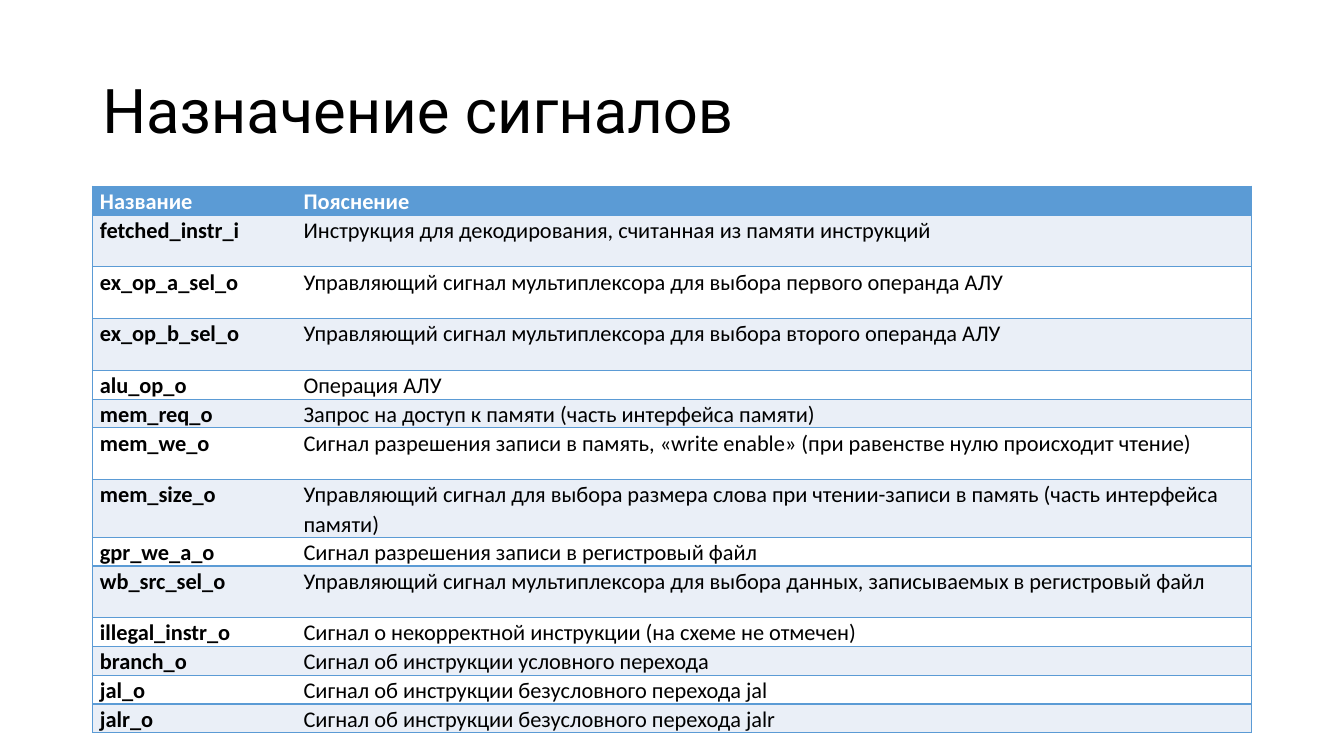
import pptx
import pptx.util
import pptx.dml.color
import pptx.enum.text
import pptx.oxml.ns
from lxml import etree

Pt = pptx.util.Pt
qn = pptx.oxml.ns.qn

COLORS = {"accent": "5B9BD5", "band": "EAEFF7", "plain": "FFFFFF", "text": "000000"}
NO_GRID_STYLE = "{2D5ABB26-0587-4C30-8999-92F81FD0307C}"
LOW, HIGH, WRAPPED = 19.5, 37, 37.5

# Signal name, explanation, least row height
SIGNALS = [
    ("fetched_instr_i", "Инструкция для декодирования, считанная из памяти инструкций", HIGH),
    ("ex_op_a_sel_o", "Управляющий сигнал мультиплексора для выбора первого операнда АЛУ", HIGH),
    ("ex_op_b_sel_o", "Управляющий сигнал мультиплексора для выбора второго операнда АЛУ", HIGH),
    ("alu_op_o", "Операция АЛУ", LOW),
    ("mem_req_o", "Запрос на доступ к памяти (часть интерфейса памяти)", LOW),
    ("mem_we_o", "Сигнал разрешения записи в память, «write enable» "
                 "(при равенстве нулю происходит чтение)", HIGH),
    ("mem_size_o", "Управляющий сигнал для выбора размера слова при чтении-записи в память "
                   "(часть интерфейса памяти)", WRAPPED),
    ("gpr_we_a_o", "Сигнал разрешения записи в регистровый файл", LOW),
    ("wb_src_sel_o", "Управляющий сигнал мультиплексора для выбора данных, "
                     "записываемых в регистровый файл", HIGH),
    ("illegal_instr_o", "Сигнал о некорректной инструкции (на схеме не отмечен)", LOW),
    ("branch_o", "Сигнал об инструкции условного перехода", LOW),
    ("jal_o", "Сигнал об инструкции безусловного перехода jal", LOW),
    ("jalr_o", "Сигнал об инструкции безусловного перехода jalr", LOW),
]


def rgb(name):
    return pptx.dml.color.RGBColor.from_string(COLORS[name])


def write(frame, text, *, font, size, color="text", bold=False, spacing=1.0, after=0):
    paragraph = frame.paragraphs[0]
    paragraph.line_spacing = spacing
    paragraph.space_after = Pt(after)
    run = paragraph.add_run()
    run.text = text
    run.font.name = font
    run.font.size = Pt(size)
    run.font.bold = bold
    run.font.color.rgb = rgb(color)


class SignalSlide:
    heading_font = "Roboto"
    body_font = "Calibri"

    def __init__(self, presentation):
        self.slide = presentation.slides.add_slide(presentation.slide_layouts[6])

    def title(self, text, left, top, width, height):
        heading = self.slide.shapes.add_textbox(Pt(left), Pt(top), Pt(width), Pt(height))
        frame = heading.text_frame
        frame.word_wrap = True
        frame.vertical_anchor = pptx.enum.text.MSO_ANCHOR.MIDDLE
        write(frame, text, font=self.heading_font, size=44, spacing=0.9)

    def borders(self, cell, sides):
        properties = cell._tc.get_or_add_tcPr()
        for side in sides:
            line = etree.SubElement(properties, qn(f"a:ln{side}"), w=str(Pt(1)))
            fill = etree.SubElement(line, qn("a:solidFill"))
            etree.SubElement(fill, qn("a:srgbClr"), val=COLORS["accent"])

    def cell(self, cell, text, fill, sides, **text_format):
        cell.margin_left = cell.margin_right = Pt(5.4)
        cell.margin_top = cell.margin_bottom = 0
        self.borders(cell, sides)
        cell.fill.solid()
        cell.fill.fore_color.rgb = rgb(fill)
        write(cell.text_frame, text, font=self.body_font, size=16,
              spacing=1.07, after=8, **text_format)

    def table(self, rows, left, top, widths):
        total_height = sum(height for _, _, height in rows)
        signals = self.slide.shapes.add_table(
            len(rows), len(widths), Pt(left), Pt(top), Pt(sum(widths)), Pt(total_height)).table
        signals._tbl.tblPr.find(qn("a:tableStyleId")).text = NO_GRID_STYLE
        for column, width in zip(signals.columns, widths):
            column.width = Pt(width)
        for index, (name, meaning, height) in enumerate(rows):
            header = index == 0
            signals.rows[index].height = Pt(height)
            fill = "accent" if header else ("plain", "band")[index % 2]
            color = "plain" if header else "text"
            self.cell(signals.cell(index, 0), name, fill, "LTB", color=color, bold=True)
            self.cell(signals.cell(index, 1), meaning, fill, "RTB", color=color, bold=header)


def main():
    presentation = pptx.Presentation()
    presentation.slide_width, presentation.slide_height = Pt(960), Pt(540)
    page = SignalSlide(presentation)

    # Heading
    page.title("Назначение сигналов", 66, 28.75, 828, 104.4)

    # Signal table
    page.table([("Название", "Пояснение", 18)] + SIGNALS, 66, 133, (145.5, 682.5))

    presentation.save("out.pptx")


if __name__ == "__main__":
    main()
